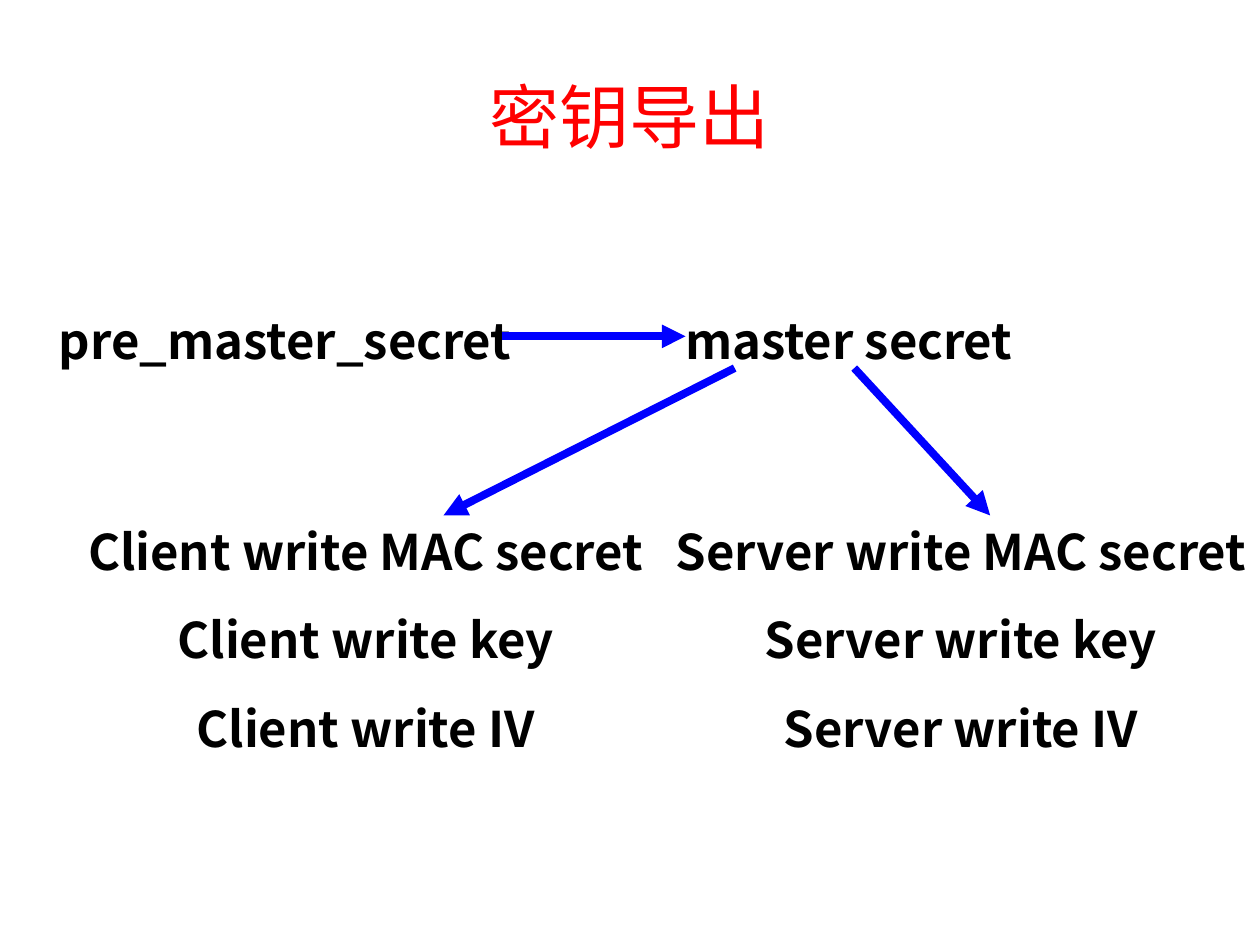
"""Build the key derivation slide."""
from lxml.etree import SubElement
from pptx import Presentation
from pptx.dml.color import RGBColor
from pptx.enum.shapes import MSO_CONNECTOR
from pptx.enum.text import MSO_ANCHOR, PP_ALIGN
from pptx.oxml.ns import qn
from pptx.util import Cm, Pt


def rgb(value):
    return RGBColor.from_string(value)


def add_text(s, box, lines, size, font, color, bold=False, spacing=1.3):
    tf = s.shapes.add_textbox(*map(Cm, box)).text_frame
    tf.word_wrap = True
    tf.vertical_anchor = MSO_ANCHOR.MIDDLE
    for i, line in enumerate(lines):
        p = tf.add_paragraph() if i else tf.paragraphs[0]
        p.text = line
        p.alignment = PP_ALIGN.CENTER
        p.line_spacing = spacing
        if i:
            p.space_before = Pt(7)
        p.font.name = font
        p.font.size = Pt(size)
        p.font.bold = bold
        p.font.color.rgb = rgb(color)


prs = Presentation()
prs.slide_width, prs.slide_height = Cm(25.4), Cm(19.05)
s = prs.slides.add_slide(prs.slide_layouts[6])

add_text(s, (1.9, 0.93, 21.59, 2.79), ["密钥导出"], 40, "Calibri", "FF0000", spacing=1.0)

keys = ["write MAC secret", "write key", "write IV"]
blocks = [
    ((0.75, 5.51, 10, 2.34), ["pre_master_secret"]),
    ((13.11, 5.51, 8, 2.34), ["master secret"]),
    ((1.35, 9.32, 12.04, 6.78), [f"Client {key}" for key in keys]),
    ((13.35, 9.32, 12.04, 6.78), [f"Server {key}" for key in keys]),
]
for box, lines in blocks:
    add_text(s, box, lines, 28, "Noto Sans CJK SC", "000000", bold=True)

arrows = [
    (10.11, 6.78, 13.82, 6.78),
    (14.81, 7.42, 8.94, 10.39),
    (17.22, 7.42, 19.96, 10.39),
]
for ends in arrows:
    arrow = s.shapes.add_connector(MSO_CONNECTOR.STRAIGHT, *map(Cm, ends))
    arrow.line.color.rgb = rgb("0000FF")
    arrow.line.width = Pt(4.5)
    SubElement(arrow.line._get_or_add_ln(), qn("a:tailEnd"), type="triangle")
    SubElement(arrow._element.spPr, qn("a:effectLst"))

prs.save("out.pptx")
